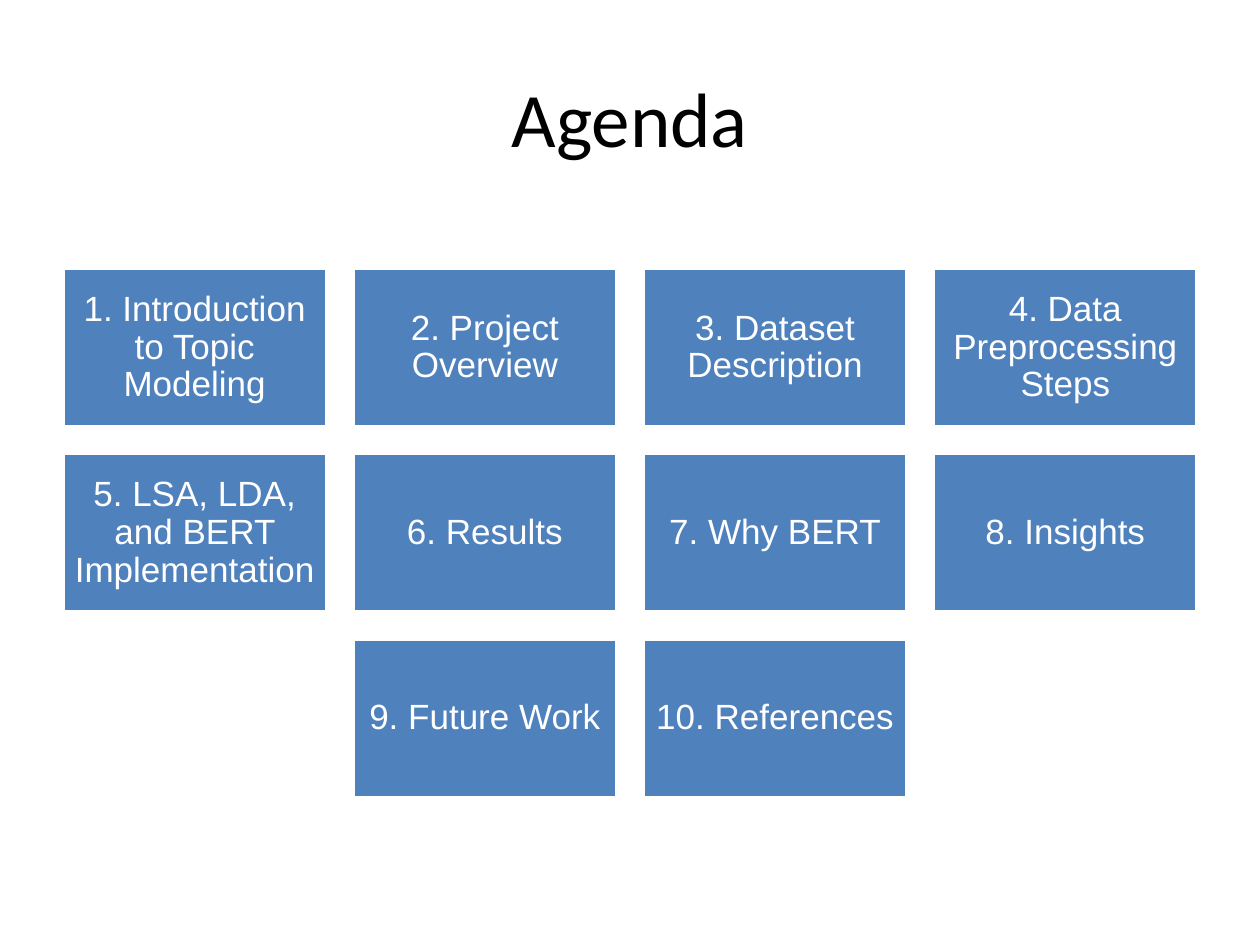
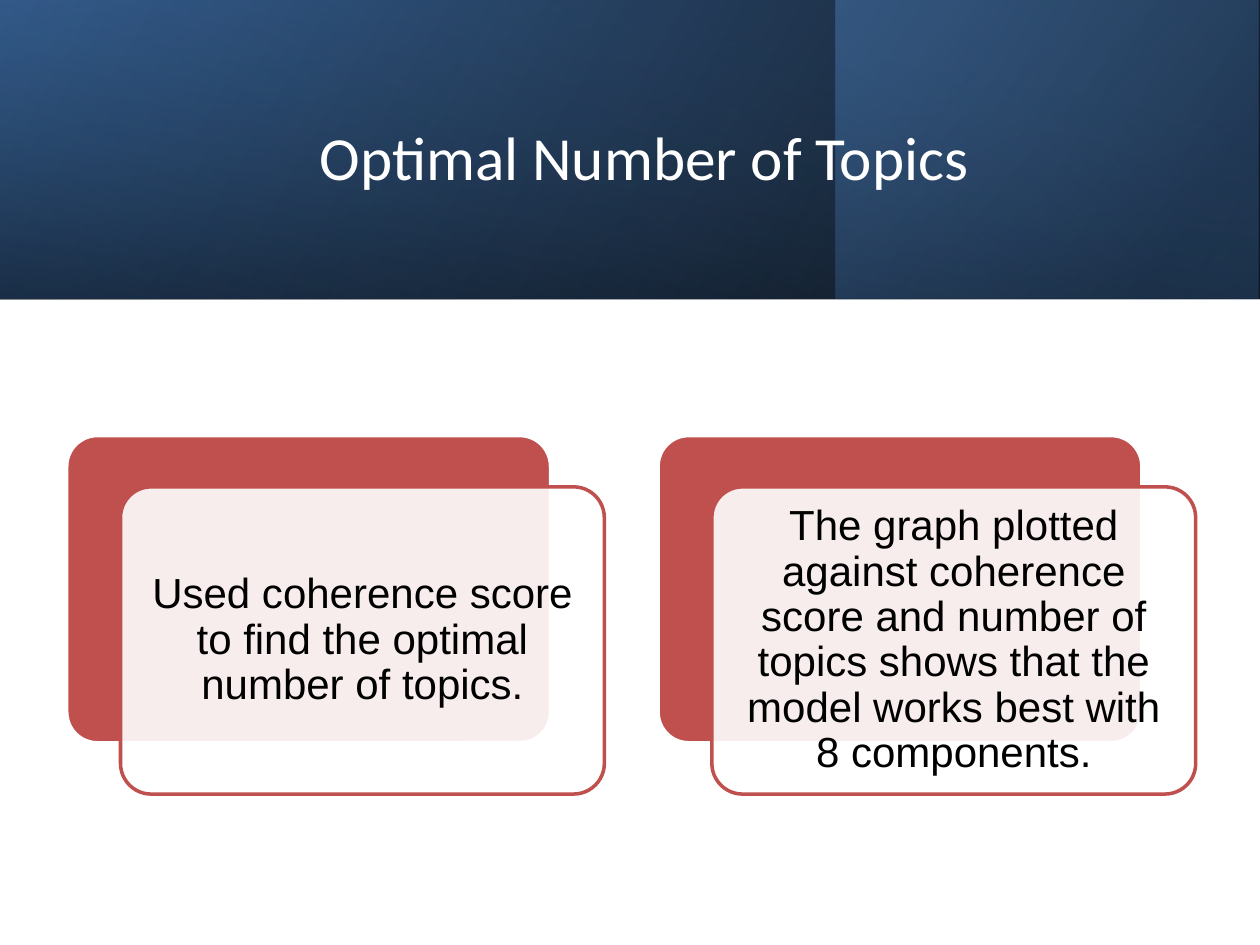
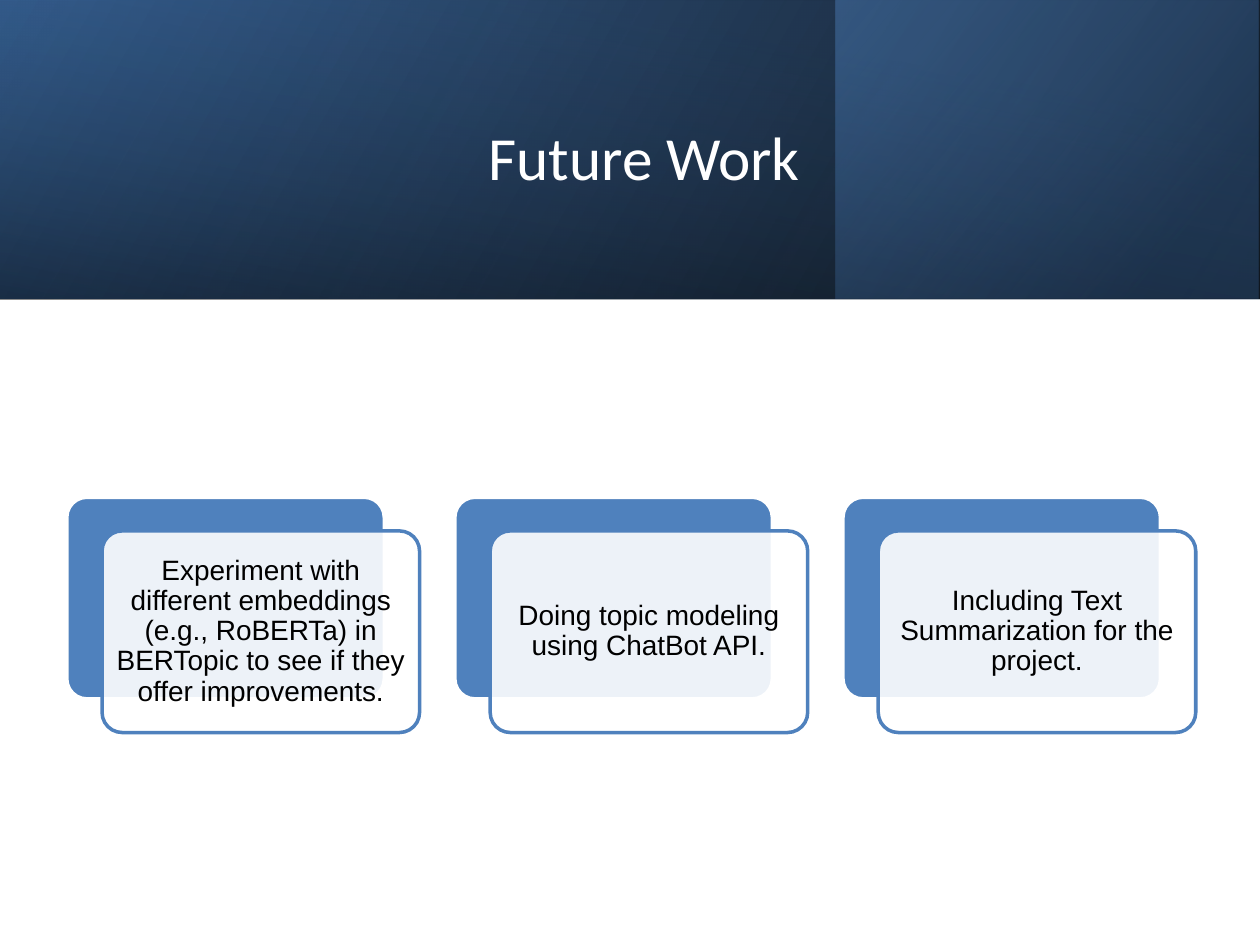
from pptx import Presentation
from pptx.dml.color import RGBColor
from pptx.enum import shapes, text
from pptx.oxml import parse_xml
from pptx.oxml.ns import nsdecls
from pptx.util import Inches, Pt

BLACK = RGBColor(0x00, 0x00, 0x00)
WHITE = RGBColor(0xFF, 0xFF, 0xFF)
BLUE = RGBColor(0x4F, 0x81, 0xBD)
DEEP_BLUE = RGBColor(0x36, 0x60, 0x92)
NAVY = RGBColor(0x24, 0x40, 0x61)
RED = RGBColor(0xBF, 0x50, 0x4D)

TITLE_FONT = "Calibri"
BODY_FONT = "Arial"
TITLE_ONLY_LAYOUT = 5

AGENDA = [
    "1. Introduction to Topic Modeling", "2. Project Overview",
    "3. Dataset Description", "4. Data Preprocessing Steps",
    "5. LSA, LDA, and BERT Implementation", "6. Results",
    "7. Why BERT", "8. Insights",
    "9. Future Work", "10. References",
]
TOPIC_NOTES = [
    "Used coherence score to find the optimal number of topics.",
    "The graph plotted against coherence score and number of topics shows "
    "that the model works best with 8 components.",
]
FUTURE_WORK = [
    "Experiment with different embeddings (e.g., RoBERTa) in BERTopic to see "
    "if they offer improvements.",
    "Doing topic modeling using ChatBot API.",
    "Including Text Summarization for the project.",
]

# Left, top, width, height, rotation, gradient angle, stops (position, colour, opacity)
HEADER_LAYERS = [
    (0, 0, 10, 2.37, 0, 330, [(0, BLACK, 96), (100, DEEP_BLUE, 100)]),
    (6.63, 0, 3.36, 2.37, 0, 320, [(0, NAVY, 68), (19, NAVY, 68), (100, BLUE, 48)]),
    (3.81, -3.81, 2.37, 10, 270, 350,
     [(0, DEEP_BLUE, 16), (23, DEEP_BLUE, 16), (99, BLACK, 45), (100, BLACK, 45)]),
]


class Deck:
    def __init__(self):
        self.presentation = Presentation()
        self.presentation.slide_width = Inches(10)
        self.presentation.slide_height = Inches(7.5)
        self.slide = None

    def add_slide(self):
        layout = self.presentation.slide_layouts[TITLE_ONLY_LAYOUT]
        self.slide = self.presentation.slides.add_slide(layout)

    def centered_text(self, shape, words, font, size, color):
        frame = shape.text_frame
        frame.word_wrap = True
        frame.vertical_anchor = text.MSO_ANCHOR.MIDDLE
        paragraph = frame.paragraphs[0]
        paragraph.alignment = text.PP_ALIGN.CENTER
        run = paragraph.add_run()
        run.text = words
        run.font.name = font
        run.font.size = Pt(size)
        run.font.color.rgb = color
        return paragraph

    def title(self, words, left, top, width, height, size, color):
        shape = self.slide.shapes.title
        shape.left, shape.top = Inches(left), Inches(top)
        shape.width, shape.height = Inches(width), Inches(height)
        self.centered_text(shape, words, TITLE_FONT, size, color)

    def shape(self, kind, left, top, width, height):
        shape = self.slide.shapes.add_shape(
            kind, Inches(left), Inches(top), Inches(width), Inches(height))
        shape.shadow.inherit = False
        return shape

    def box(self, kind, left, top, width, height, fill, line):
        shape = self.shape(kind, left, top, width, height)
        shape.fill.solid()
        shape.fill.fore_color.rgb = fill
        shape.line.color.rgb = line
        shape.line.width = Pt(2)
        return shape

    def box_text(self, shape, words, size, color):
        """Add body text with margins that grow with its size."""
        frame = shape.text_frame
        frame.margin_left = frame.margin_right = Inches(size / 240)
        frame.margin_top = frame.margin_bottom = Inches(size / 240)
        paragraph = self.centered_text(shape, words, BODY_FONT, size, color)
        paragraph.line_spacing = 0.9

    def gradient_layer(self, left, top, width, height, rotation, angle, stops):
        """Add a mirrored rectangle with a gradient of translucent stops."""
        shape = self.shape(shapes.MSO_SHAPE.RECTANGLE, left, top, width, height)
        shape.line.fill.background()
        shape.rotation = rotation
        properties = shape.element.spPr
        properties.xfrm.set("flipH", "1")
        stop_xml = "".join(
            f'<a:gs pos="{position * 1000}"><a:srgbClr val="{color}">'
            f'<a:alpha val="{opacity * 1000}"/></a:srgbClr></a:gs>'
            for position, color, opacity in stops)
        properties.prstGeom.addnext(parse_xml(
            f'<a:gradFill {nsdecls("a")} rotWithShape="1"><a:gsLst>{stop_xml}</a:gsLst>'
            f'<a:lin ang="{angle * 60000}" scaled="0"/></a:gradFill>'))

    def header(self, words):
        for layer in HEADER_LAYERS:
            self.gradient_layer(*layer)
        self.title(words, 1.13, 0.38, 7.97, 1.72, 35, WHITE)
        # The title placeholder comes first, so bring it in front of the layers.
        self.slide.shapes.element.append(self.slide.shapes.title.element)

    def tile_grid(self, items, columns=4):
        """Place tiles row by row, centring a short last row."""
        width, height = 2.09, 1.26
        left, right, top = 0.5, 9.5, 2.13
        column_step = (right - left - width) / (columns - 1)
        row_step = height + 0.21
        for start in range(0, len(items), columns):
            row = items[start:start + columns]
            row_left = left + (columns - len(row)) * column_step / 2
            row_top = top + start // columns * row_step
            for column, words in enumerate(row):
                tile = self.box(shapes.MSO_SHAPE.RECTANGLE, row_left + column * column_step,
                                row_top, width, height, BLUE, WHITE)
                self.box_text(tile, words, 20, WHITE)

    def layered_cards(self, items, color, size):
        """Spread cards over the content width, each on an offset backing."""
        left, right, middle = 0.53, 9.49, 4.88
        # A card's offset is 1/9 of its width and the gap between cards is another 1/9.
        width = (right - left) * 9 / (11 * len(items) - 1)
        height = width * 0.635
        shift_x, shift_y = width / 9, width * 0.106
        top = middle - (height + shift_y) / 2
        for index, words in enumerate(items):
            card_left = left + index * width * 11 / 9
            backing = self.box(shapes.MSO_SHAPE.ROUNDED_RECTANGLE, card_left, top,
                               width, height, color, WHITE)
            card = self.box(shapes.MSO_SHAPE.ROUNDED_RECTANGLE, card_left + shift_x,
                            top + shift_y, width, height, WHITE, color)
            for shape in (backing, card):
                shape.adjustments[0] = 0.1
            fill_color = card.element.spPr.find(".//{*}solidFill/{*}srgbClr")
            fill_color.append(parse_xml(f'<a:alpha {nsdecls("a")} val="90000"/>'))
            self.box_text(card, words, size, BLACK)


def main():
    deck = Deck()

    deck.add_slide()
    deck.title("Agenda", 0.5, 0.3, 9, 1.25, 44, BLACK)
    deck.tile_grid(AGENDA)

    deck.add_slide()
    deck.header("Optimal Number of Topics")
    deck.layered_cards(TOPIC_NOTES, RED, 24)

    deck.add_slide()
    deck.header("Future Work")
    deck.layered_cards(FUTURE_WORK, BLUE, 16)

    deck.presentation.save("out.pptx")


if __name__ == "__main__":
    main()
